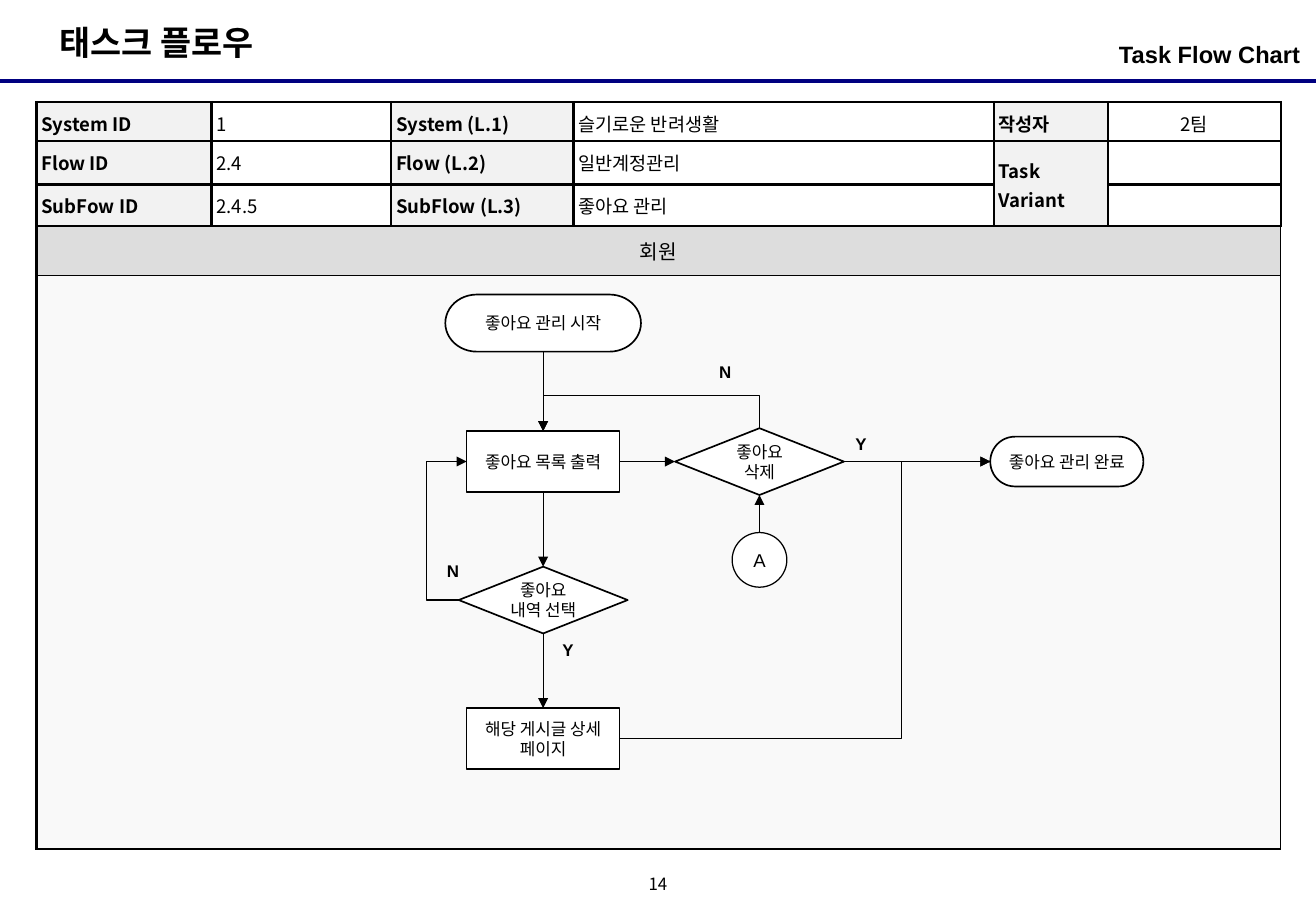
from lxml.etree import SubElement
from pptx import Presentation
from pptx.dml.color import RGBColor
from pptx.enum.shapes import MSO_CONNECTOR, MSO_SHAPE
from pptx.enum.text import MSO_ANCHOR, PP_ALIGN
from pptx.oxml.ns import qn
from pptx.util import Inches, Pt

W, H = 10.83, 7.5
ARIAL, NOTO = "Arial", "Noto Sans CJK KR"
COLORS = {"ink": "000000", "rule": "000080", "paper": "FFFFFF",
          "head": "F2F2F2", "lane": "DDDDDD", "body": "F9F9F9"}

INFO = [
    ["System ID", "1", "System (L.1)", "슬기로운 반려생활", "작성자", "2팀"],
    ["Flow ID", "2.4", "Flow (L.2)", "일반계정관리", "Task Variant", ""],
    ["SubFow ID", "2.4.5", "SubFlow (L.3)", "좋아요 관리", "", ""],
]
INFO_COLS = [1.44, 1.48, 1.5, 3.46, 0.94, 1.42]
INFO_ROWS = [0.32, 0.36, 0.34]
LANE = [["회원"], [""]]
LANE_ROWS = [0.41, 4.72]
LEFT, INFO_TOP, LANE_TOP = 0.3, 0.84, 1.86

COLS = {"main": 4.47, "delete": 6.25, "end": 8.78}
ROW_TOP, ROW_STEP = 2.66, 1.14
BOX, DIAMOND = (1.26, 0.5), (1.39, 0.55)
NODES = {
    "start": ("좋아요 관리 시작", MSO_SHAPE.FLOWCHART_TERMINATOR, "main", 0, (1.61, 0.47)),
    "end": ("좋아요 관리 완료", MSO_SHAPE.FLOWCHART_TERMINATOR, "end", 1, (1.26, 0.41)),
    "select": ("좋아요 내역 선택", MSO_SHAPE.FLOWCHART_DECISION, "main", 2, DIAMOND),
    "list": ("좋아요 목록 출력", MSO_SHAPE.RECTANGLE, "main", 1, BOX),
    "detail": ("해당 게시글 상세 페이지", MSO_SHAPE.RECTANGLE, "main", 3, BOX),
    "delete": ("좋아요 삭제", MSO_SHAPE.FLOWCHART_DECISION, "delete", 1, DIAMOND),
    "A": ("A", MSO_SHAPE.OVAL, "delete", 1.71, (0.45, 0.45)),
}
TOP, WEST, BOTTOM, EAST = 0, 1, 2, 3
CIRCLE_TOP = 0
STRAIGHT = [
    ("start", BOTTOM, "list", TOP), ("list", EAST, "delete", WEST),
    ("delete", EAST, "end", WEST), ("list", BOTTOM, "select", TOP),
    ("select", BOTTOM, "detail", TOP), ("A", CIRCLE_TOP, "delete", BOTTOM),
]
ELBOWS = [
    ("delete", TOP, "list", TOP, 3.26),
    ("detail", EAST, "end", WEST, 7.42),
    ("select", WEST, "list", WEST, 3.51),
]
LABELS = [("Y", 6.94, 3.52), ("N", 5.82, 2.93), ("Y", 4.53, 5.22), ("N", 3.58, 4.57)]

prs = Presentation()
prs.slide_width, prs.slide_height = Inches(W), Inches(H)
slide = prs.slides.add_slide(prs.slide_layouts[6])


def color(name):
    return RGBColor.from_string(COLORS[name])


def write(tf, text, size, bold=False, font=ARIAL, align=PP_ALIGN.LEFT,
          spacing=None):
    tf.text = text
    p = tf.paragraphs[0]
    p.alignment, p.line_spacing = align, spacing
    for r in p.runs:
        r.font.size, r.font.bold, r.font.name = Pt(size), bold, font
        r.font.color.rgb = color("ink")
        SubElement(r.font._element, qn("a:ea")).set("typeface", NOTO)
    if not text:
        SubElement(p._p, qn("a:endParaRPr")).set("sz", str(size * 100))


def margins(holder, x, y):
    holder.margin_left = holder.margin_right = Inches(x)
    holder.margin_top = holder.margin_bottom = Inches(y)


def add_text(text, x, y, w, h, size, inset=(0.1, 0.05),
             anchor=MSO_ANCHOR.TOP, **style):
    tf = slide.shapes.add_textbox(*map(Inches, (x, y, w, h))).text_frame
    tf.word_wrap, tf.vertical_anchor = True, anchor
    margins(tf, *inset)
    write(tf, text, size, **style)


def add_grid(rows, widths, heights, top):
    size = map(Inches, (LEFT, top, sum(widths), sum(heights)))
    table = slide.shapes.add_table(len(rows), len(widths), *size).table
    table.first_row = table.horz_banding = False
    for col, w in zip(table.columns, widths):
        col.width = Inches(w)
    for row, h in zip(table.rows, heights):
        row.height = Inches(h)
    return table


def style_cell(cell, fill, borders):
    tc_pr = cell._tc.get_or_add_tcPr()
    for side, width in zip("LRTB", borders):
        ln = SubElement(tc_pr, qn(f"a:ln{side}"), w=str(Pt(width)))
        SubElement(SubElement(ln, qn("a:solidFill")), qn("a:srgbClr"), val=COLORS["ink"])
    cell.fill.solid()
    cell.fill.fore_color.rgb = color(fill)


def style_line(c, width, name="ink", arrow=True):
    c.line.width, c.line.color.rgb = Pt(width), color(name)
    if arrow:
        SubElement(c.line._get_or_add_ln(), qn("a:tailEnd"), type="triangle")
    SubElement(c._element.spPr, qn("a:effectLst"))


def add_line(kind, x0, y0, x1, y1):
    return slide.shapes.add_connector(kind, *map(Inches, (x0, y0, x1, y1)))


def add_node(text, shape, col, row, size):
    w, h = size
    x, y = COLS[col] - w / 2, ROW_TOP + row * ROW_STEP - h / 2
    sp = slide.shapes.add_shape(shape, *map(Inches, (x, y, w, h)))
    sp.shadow.inherit = False
    sp.fill.solid()
    sp.fill.fore_color.rgb = color("paper")
    circle = shape == MSO_SHAPE.OVAL
    sp.line.color.rgb, sp.line.width = color("ink"), Pt(0.75 if circle else 1)
    tf = sp.text_frame
    tf.word_wrap, tf.vertical_anchor = True, MSO_ANCHOR.MIDDLE
    margins(tf, 0.02, 0)
    write(tf, text, 11 if circle else 10, align=PP_ALIGN.CENTER)
    return sp


def site(name, side):
    _, _, col, row, (w, h) = NODES[name]
    dx, dy = [(0, -h), (-w, 0), (0, h), (w, 0)][side]
    return COLS[col] + dx / 2, ROW_TOP + row * ROW_STEP + dy / 2


def add_elbow(start, side0, end, side1, via):
    (x0, y0), (x1, y1) = site(start, side0), site(end, side1)
    dx, dy = x1 - x0, y1 - y0
    if side0 == TOP:
        cx, cy = (x0 + x1) / 2, (y0 + y1) / 2
        c = add_line(MSO_CONNECTOR.ELBOW, cx - dy / 2, cy + dx / 2,
                     cx + dy / 2, cy - dx / 2)
        c._element.spPr.find(qn("a:xfrm")).set("rot", "5400000")
        share = (via - y0) / dy
    else:
        c = add_line(MSO_CONNECTOR.ELBOW, x0, y0, x1, y1)
        share = (via - x0) / dx
    guides = c._element.spPr.find(qn("a:prstGeom")).find(qn("a:avLst"))
    SubElement(guides, qn("a:gd"), name="adj1", fmla=f"val {round(share * 100000)}")
    style_line(c, 0.75)


style_line(add_line(MSO_CONNECTOR.STRAIGHT, 0, 0.67, W, 0.67), 2.25, "rule", arrow=False)
add_text("태스크 플로우", 0.39, 0.13, 1.98, 0.44, 20, bold=True)
add_text("Task Flow Chart", 7.39, 0.28, 3.31, 0.39, 14, (0, 0.05),
         bold=True, align=PP_ALIGN.RIGHT)
add_text("14", 5.25, 7.17, 0.33, 0.25, 10, (0, 0), MSO_ANCHOR.MIDDLE,
         font=NOTO, align=PP_ALIGN.CENTER, spacing=0.8)

lane = add_grid(LANE, [sum(INFO_COLS)], LANE_ROWS, LANE_TOP)
for i, (fill, edges) in enumerate([("lane", (1.5, 0.75, 1.5, 0.75)),
                                   ("body", (1.5, 0.75, 0.75, 1.5))]):
    cell = lane.cell(i, 0)
    cell.vertical_anchor = MSO_ANCHOR.MIDDLE
    write(cell.text_frame, LANE[i][0], 12, align=PP_ALIGN.CENTER)
    style_cell(cell, fill, edges)

info = add_grid(INFO, INFO_COLS, INFO_ROWS, INFO_TOP)
for i, row in enumerate(INFO):
    for j, text in enumerate(row):
        cell, heading = info.cell(i, j), j % 2 == 0
        margins(cell, 0.04, 0.04)
        cell.vertical_anchor = MSO_ANCHOR.MIDDLE if j > 3 else MSO_ANCHOR.TOP
        write(cell.text_frame, text, 11, heading, NOTO,
              PP_ALIGN.CENTER if j == 5 else PP_ALIGN.LEFT, 1.1)
        style_cell(cell, "head" if heading else "paper", [1.5] * 4)
info.cell(1, 4).merge(info.cell(2, 4))

nodes = {name: add_node(*node) for name, node in NODES.items()}
for start, side0, end, side1 in STRAIGHT:
    c = add_line(MSO_CONNECTOR.STRAIGHT, *site(start, side0), *site(end, side1))
    c.begin_connect(nodes[start], side0)
    c.end_connect(nodes[end], side1)
    style_line(c, 0.75)
for elbow in ELBOWS:
    add_elbow(*elbow)
for text, x, y in LABELS:
    add_text(text, x, y, 0.38, 0.27, 10, bold=True)

prs.save("out.pptx")
